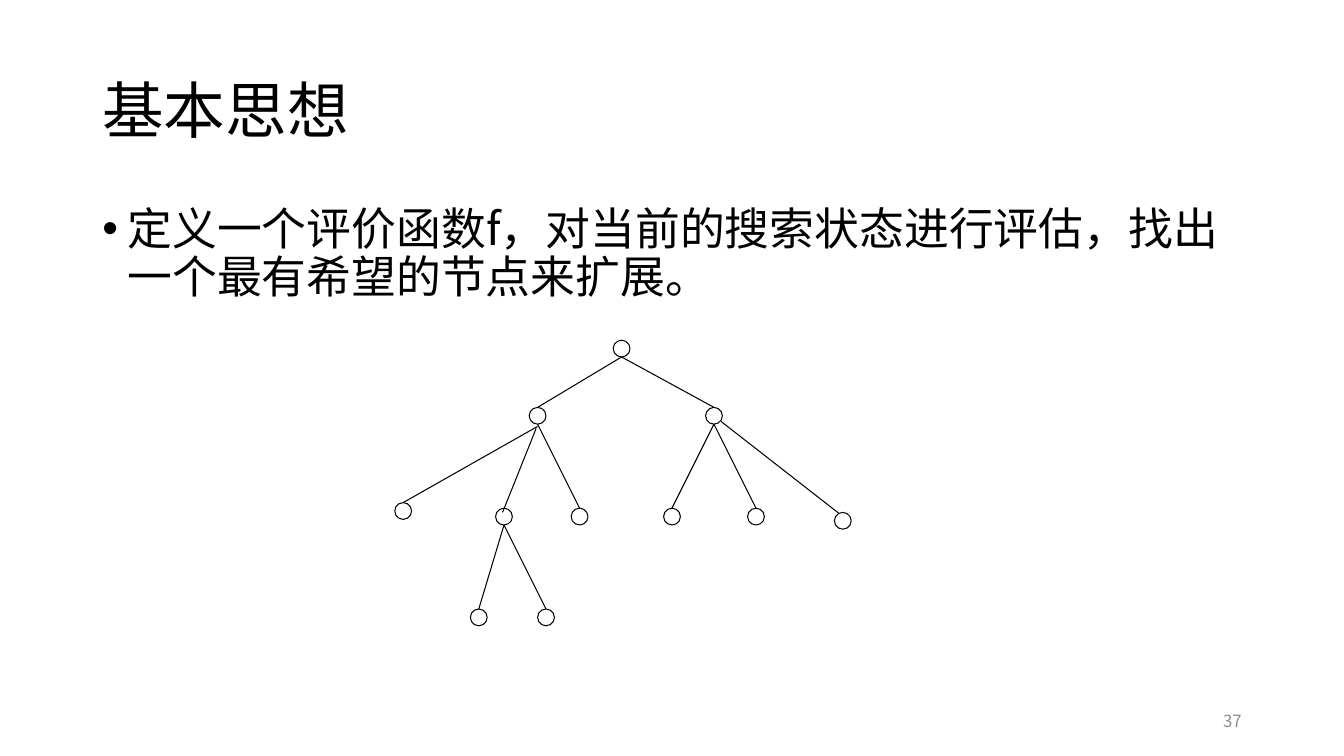
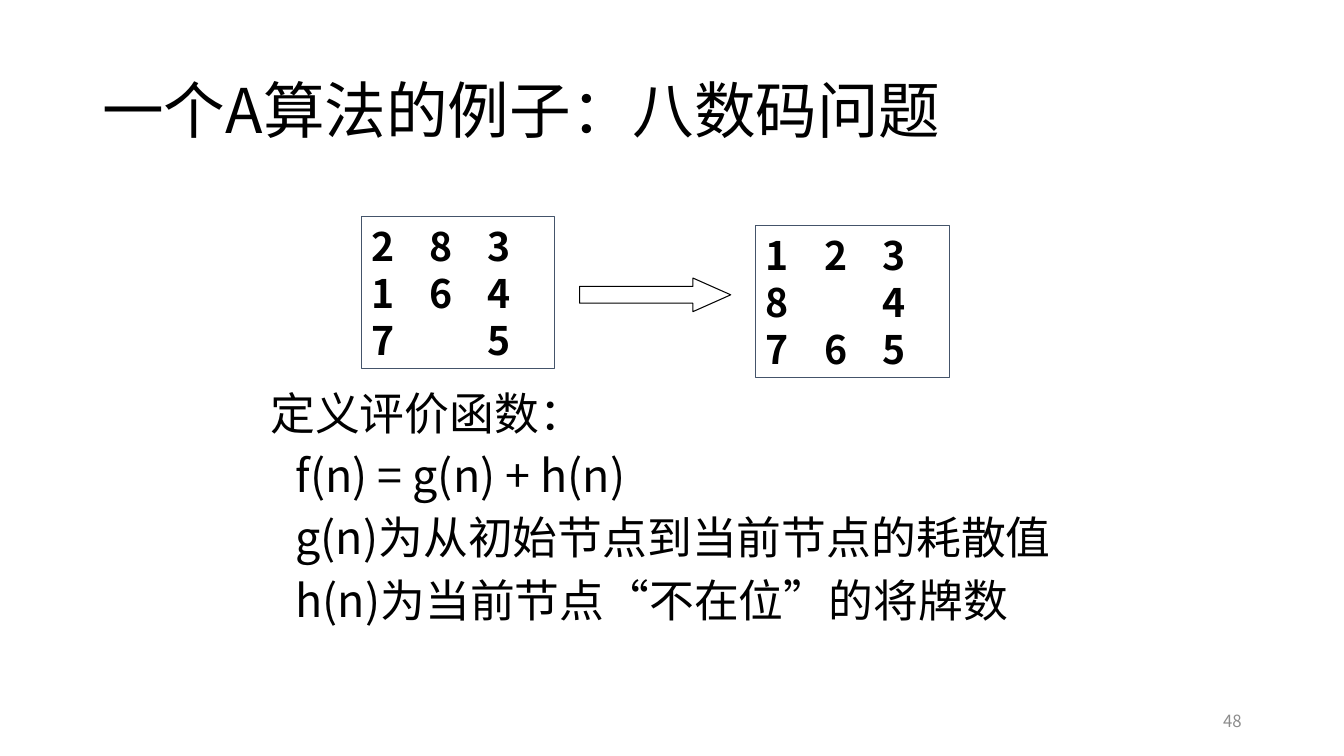
from lxml import etree
from pptx import Presentation
from pptx.dml.color import RGBColor
from pptx.enum.shapes import MSO_CONNECTOR, MSO_SHAPE
from pptx.enum.text import MSO_ANCHOR, PP_ALIGN
from pptx.oxml.ns import qn
from pptx.util import Pt

LINE = MSO_CONNECTOR.STRAIGHT
OVAL, RECT, ARROW = MSO_SHAPE.OVAL, MSO_SHAPE.RECTANGLE, MSO_SHAPE.RIGHT_ARROW
TOP, MIDDLE = MSO_ANCHOR.TOP, MSO_ANCHOR.MIDDLE
LEFT, RIGHT = PP_ALIGN.LEFT, PP_ALIGN.RIGHT

FONT = "Noto Sans CJK SC"
COLORS = {"ink": "000000", "paper": "FFFFFF", "frame": "44546A", "page": "8C8C8C"}
INDENT = 18
PITCH = 41.6
RADIUS = 6

# Centre of each tree node
NODES = {
    "root": (444, 249),
    "a": (384, 297), "b": (510, 297),
    "a1": (288, 365), "a2": (360, 369), "a3": (414, 369),
    "b1": (480, 369), "b2": (540, 369), "b3": (602, 372),
    "a21": (342, 441), "a22": (390, 441),
}
# Parent, child, and how far each end sits from the usual join
EDGES = [
    ("root", "a", (0, 0), (0, 0)), ("root", "b", (0, 0), (0, 0)),
    ("a", "a1", (0, 1.6), (0, 0)), ("a", "a2", (-1, 3), (-1, 3)),
    ("a", "a3", (0, 0), (0, 0)),
    ("b", "b1", (0, 0), (0, 0)), ("b", "b2", (0, 0), (0, 0)),
    ("b", "b3", (5, -2), (-3, 0.5)),
    ("a2", "a21", (0, 0), (0, 0)), ("a2", "a22", (0, 0), (0, 0)),
]


def color(key):
    return RGBColor.from_string(COLORS[key])


def write(frame, lines, size, ink="ink", bold=False, align=LEFT, anchor=TOP):
    frame.word_wrap = True
    frame.vertical_anchor = anchor
    frame.text = "\n".join(lines)
    for para in frame.paragraphs:
        para.alignment = align
        for run in para.runs:
            font = run.font
            font.size, font.bold = Pt(size), bold
            font.color.rgb = color(ink)
            font.name = FONT
            east = etree.SubElement(run._r.get_or_add_rPr(), qn("a:ea"))
            east.set("typeface", FONT)


def add_text(slide, box, lines, size, **style):
    frame = slide.shapes.add_textbox(*map(Pt, box)).text_frame
    write(frame, lines, size, **style)
    return frame.paragraphs


def add_form(slide, kind, box, fill=None, line="ink"):
    form = slide.shapes.add_shape(kind, *map(Pt, box))
    form.shadow.inherit = False
    if fill:
        form.fill.solid()
        form.fill.fore_color.rgb = color(fill)
    else:
        form.fill.background()
    form.line.color.rgb = color(line)
    form.line.width = Pt(0.75)
    return form


def add_line(slide, start, end):
    line = slide.shapes.add_connector(LINE, *map(Pt, start + end))
    line.line.color.rgb = color("ink")
    line.line.width = Pt(0.75)
    etree.SubElement(line._element.spPr, qn("a:effectLst"))


def add_page(deck, title, number):
    """Add a slide with the shared title and page number."""
    slide = deck.slides.add_slide(deck.slide_layouts[6])
    add_text(slide, (678, 500.4, 216, 28.8), [number], 12,
             ink="page", align=RIGHT, anchor=MIDDLE)
    head = add_text(slide, (66, 28.8, 828, 104.4), [title], 44, anchor=MIDDLE)
    head[0].line_spacing = 0.9
    return slide


def add_body(slide, box, lines, bullet=False):
    """Add body text; without a bullet, lines after the first are indented."""
    for row, para in enumerate(add_text(slide, box, lines, 32)):
        para.line_spacing = 0.9
        if row:
            para.space_before = Pt(10)
        props = para._p.get_or_add_pPr()
        if bullet or row:
            props.set("marL", str(Pt(INDENT)))
        if bullet:
            props.set("indent", str(-Pt(INDENT)))
            etree.SubElement(props, qn("a:buFont")).set("typeface", "Arial")
            etree.SubElement(props, qn("a:buChar")).set("char", "•")


def add_tree(slide):
    for x, y in NODES.values():
        add_form(slide, OVAL, (x - RADIUS, y - RADIUS, 2 * RADIUS, 2 * RADIUS), "paper")
    for top, low, (dx, dy), (ex, ey) in EDGES:
        (x, y), (u, v) = NODES[top], NODES[low]
        add_line(slide, (x + dx, y + RADIUS + dy), (u + ex, v - RADIUS + ey))


def add_board(slide, left, top, rows):
    """Add a puzzle board whose columns stand on tab stops."""
    board = add_form(slide, RECT, (left, top, 138.4, 108.8), line="frame")
    frame = board.text_frame
    write(frame, ["\t".join(row) for row in rows], 28, bold=True, anchor=MIDDLE)
    for para in frame.paragraphs:
        tabs = etree.SubElement(para._p.get_or_add_pPr(), qn("a:tabLst"))
        for col in (1, 2):
            tab = etree.SubElement(tabs, qn("a:tab"))
            tab.set("pos", str(Pt(col * PITCH)))
            tab.set("algn", "l")


def main():
    deck = Presentation()
    deck.slide_width, deck.slide_height = Pt(960), Pt(540)

    idea = add_page(deck, "基本思想", "37")
    add_body(idea, (66, 144, 828, 342.7),
             ["定义一个评价函数f，对当前的搜索状态进行评估，找出一个最有希望的节点来扩展。"],
             bullet=True)
    add_tree(idea)

    puzzle = add_page(deck, "一个A算法的例子：八数码问题", "48")
    add_body(puzzle, (186, 276, 612, 240), [
        "定义评价函数：",
        "f(n) = g(n) + h(n)",
        "g(n)为从初始节点到当前节点的耗散值",
        "h(n)为当前节点“不在位”的将牌数",
    ])
    add_board(puzzle, 258, 154.8, ["283", "164", ("7", "", "5")])
    add_board(puzzle, 540, 161.2, ["123", ("8", "", "4"), "765"])
    arrow = add_form(puzzle, ARROW, (414, 198.6, 108, 24))
    arrow.adjustments[0] = 0.5
    arrow.adjustments[1] = 1.125

    deck.save("out.pptx")


if __name__ == "__main__":
    main()
